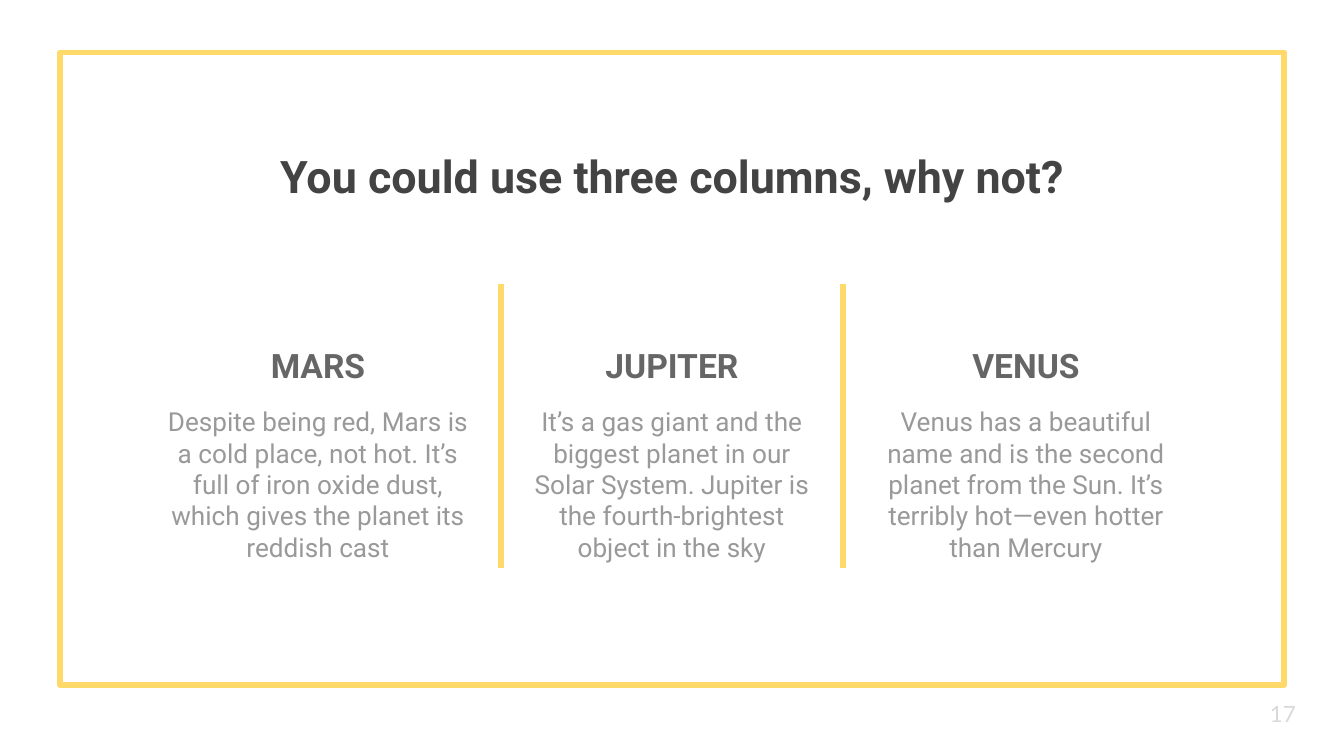
from lxml import etree
from pptx import Presentation
from pptx import util as u
from pptx.dml.color import RGBColor
from pptx.enum import shapes, text
from pptx.oxml.ns import qn

YELLOW = "FFD969"
SLIDE_WIDTH, SLIDE_HEIGHT = 25.4, 14.29
COLUMN_WIDTH, COLUMN_STEP = 5.87, 6.69
# Heading, body text, extra body width in cm
PLANETS = [
    ("MARS", "Despite being red, Mars is a cold place, not hot. It’s full of "
             "iron oxide dust, which gives the planet its reddish cast", 0.43),
    ("JUPITER", "It’s a gas giant and the biggest planet in our Solar System. "
                "Jupiter is the fourth-brightest object in the sky", 0),
    ("VENUS", "Venus has a beautiful name and is the second planet from the Sun. "
              "It’s terribly hot—even hotter than Mercury", 0),
]


def color(value):
    return RGBColor.from_string(value)


def style_line(line):
    line.color.rgb = color(YELLOW)
    line.width = u.Pt(3)


def add_text(slide, box, words, size, ink, bold=False, font="Roboto",
             align=text.PP_ALIGN.CENTER, anchor=text.MSO_ANCHOR.TOP):
    """Place one paragraph in a box of (left, top, width, height) in cm."""
    frame = slide.shapes.add_textbox(*map(u.Cm, box)).text_frame
    frame.word_wrap = True
    frame.vertical_anchor = anchor
    frame.margin_left = frame.margin_right = u.Cm(0.25)
    frame.margin_top = frame.margin_bottom = u.Cm(0.25)
    frame.text = words
    paragraph = frame.paragraphs[0]
    paragraph.alignment = align
    run_font = paragraph.runs[0].font
    run_font.name = font
    run_font.size = u.Pt(size)
    run_font.bold = bold
    run_font.color.rgb = color(ink)


def add_frame(slide, box):
    border = slide.shapes.add_shape(shapes.MSO_SHAPE.RECTANGLE, *map(u.Cm, box))
    border.shadow.inherit = False
    border.fill.background()
    style_line(border.line)


def add_divider(slide, x, top, height):
    divider = slide.shapes.add_connector(
        shapes.MSO_CONNECTOR.STRAIGHT, u.Cm(x), u.Cm(top), u.Cm(x), u.Cm(top + height))
    style_line(divider.line)
    etree.SubElement(divider._element.spPr, qn("a:effectLst"))


def add_column(slide, box, heading, body, extra):
    """Stack a heading over a body, which is wider by extra on both sides together."""
    left, top, width, height = box
    heading_height, body_offset = 1.8, 1.68
    add_text(slide, (left, top, width, heading_height), heading, 18, "666666",
             bold=True, anchor=text.MSO_ANCHOR.BOTTOM)
    add_text(slide, (left - extra / 2, top + body_offset, width + extra,
                     height - body_offset), body, 14, "999999")


def add_columns(slide, box):
    left, top, width, height = box
    for index, planet in enumerate(PLANETS):
        add_column(slide, (left + index * COLUMN_STEP, top, COLUMN_WIDTH, height), *planet)
    for side in (-1, 1):
        add_divider(slide, left + width / 2 + side * 3.23, top - 0.38, 5.38)


def main():
    presentation = Presentation()
    presentation.slide_width = u.Cm(SLIDE_WIDTH)
    presentation.slide_height = u.Cm(SLIDE_HEIGHT)
    slide = presentation.slides.add_slide(presentation.slide_layouts[6])

    add_frame(slide, (1.14, 0.99, 23.13, 11.96))
    add_text(slide, (0, 2.57, SLIDE_WIDTH, 1.35),
             "You could use three columns, why not?", 24, "434343", bold=True)
    columns_width = COLUMN_WIDTH + (len(PLANETS) - 1) * COLUMN_STEP
    add_columns(slide, ((SLIDE_WIDTH - columns_width) / 2, 5.74, columns_width, 6))
    add_text(slide, (23.75, 12.95, 1.52, 1.09), "17", 12, "D9D9D9", font="Lato",
             align=text.PP_ALIGN.LEFT, anchor=text.MSO_ANCHOR.MIDDLE)

    presentation.save("out.pptx")


if __name__ == "__main__":
    main()
